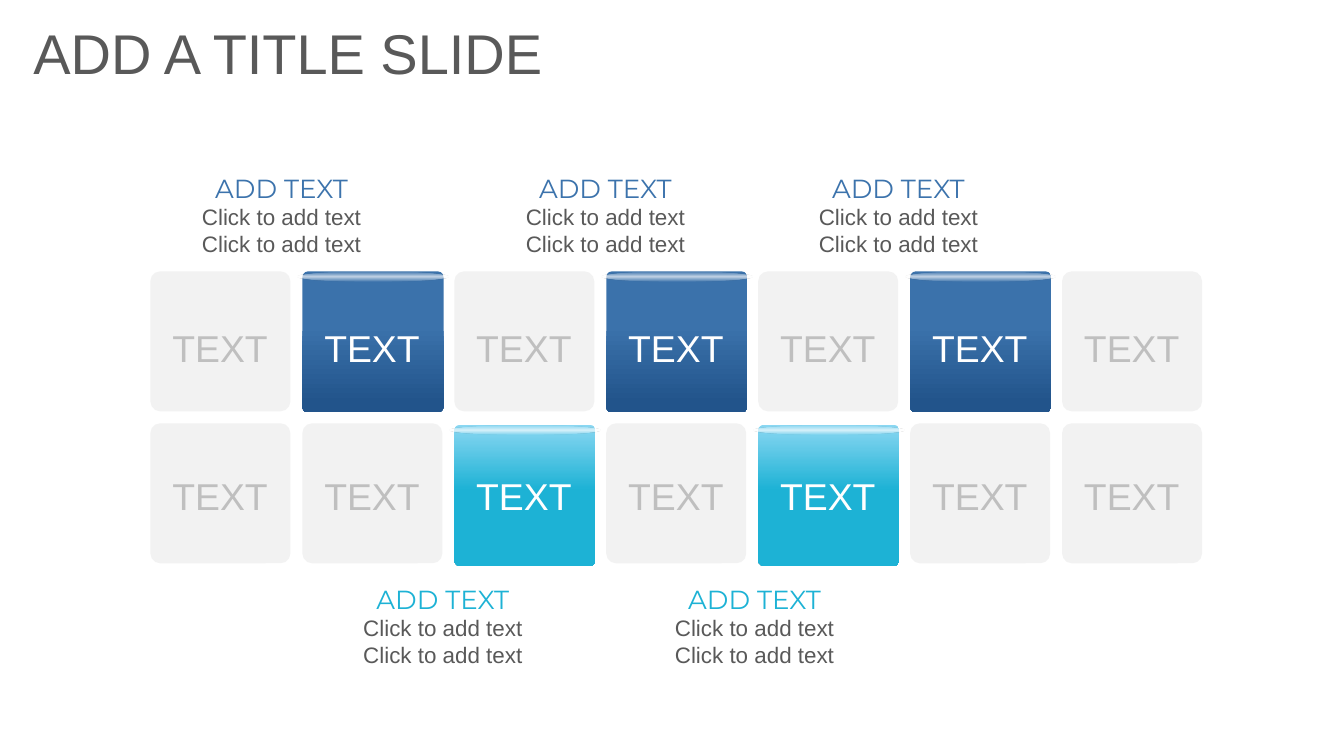
"""Build a slide with two rows of tiles, five of them glossy and captioned."""
from dataclasses import dataclass

from lxml import etree
from pptx import Presentation
from pptx.dml.color import RGBColor
from pptx.enum.shapes import MSO_SHAPE
from pptx.enum.text import MSO_ANCHOR, PP_ALIGN
from pptx.oxml.ns import qn
from pptx.shapes.autoshape import Shape
from pptx.slide import Slide
from pptx.text.text import _Paragraph
from pptx.util import Pt

ROUND_RECT, OVAL = MSO_SHAPE.ROUNDED_RECTANGLE, MSO_SHAPE.OVAL
CENTER, LEFT = PP_ALIGN.CENTER, PP_ALIGN.LEFT
MIDDLE, TOP = MSO_ANCHOR.MIDDLE, MSO_ANCHOR.TOP


@dataclass(frozen=True)
class Stop:
    position: int
    color: str
    alpha: int = 100


@dataclass(frozen=True)
class Theme:
    text: str = "595959"
    muted: str = "BFBFBF"
    white: str = "FFFFFF"
    blue: str = "3C73AC"
    cyan: str = "1DB2D5"
    blue_fill: tuple[Stop, ...] = (Stop(39, "3B72AB"), Stop(93, "22548B"))
    cyan_fill: tuple[Stop, ...] = (Stop(0, "8AD7F2"), Stop(46, "1DB2D5"))
    gloss: tuple[Stop, ...] = (Stop(0, "FFFFFF", 69), Stop(100, "FFFFFF", 0))
    body_font: str = "Arial"
    heading_font: str = "Montserrat"
    title_size: int = 30
    label_size: int = 20
    heading_size: int = 14
    body_size: int = 12


@dataclass(frozen=True)
class Box:
    left: float
    top: float
    width: float
    height: float

    def emu(self) -> tuple[int, int, int, int]:
        return Pt(self.left), Pt(self.top), Pt(self.width), Pt(self.height)


@dataclass(frozen=True)
class TileRow:
    top: float
    glossy_top: float
    label_middle: float
    glossy_columns: tuple[int, ...]
    glossy_fill: tuple[Stop, ...]
    caption_top: float
    caption_lefts: tuple[float, ...]
    caption_color: str


THEME = Theme()
COLUMNS, GRID_LEFT, PITCH = 7, 80.6, 81.4
TILE, GLOSSY_TILE = 75, 75.6
ROWS = (
    TileRow(145.4, 145.4, 186.3, (1, 3, 5), THEME.blue_fill,
            88.6, (90, 263.5, 420.5), THEME.blue),
    TileRow(226.8, 227.6, 265.5, (2, 4), THEME.cyan_fill,
            308.9, (176.4, 343.4), THEME.cyan),
)


def add_stops(s: Shape, stops: tuple[Stop, ...], radial: bool = False) -> None:
    s.fill.background()
    empty = s._element.spPr.find(qn("a:noFill"))
    grad = etree.Element(qn("a:gradFill"), rotWithShape="1")
    gs_list = etree.SubElement(grad, qn("a:gsLst"))
    for stop in stops:
        gs = etree.SubElement(gs_list, qn("a:gs"), pos=str(stop.position * 1000))
        color = etree.SubElement(gs, qn("a:srgbClr"), val=stop.color)
        if stop.alpha < 100:
            etree.SubElement(color, qn("a:alpha"), val=str(stop.alpha * 1000))
    if radial:
        path = etree.SubElement(grad, qn("a:path"), path="shape")
        etree.SubElement(path, qn("a:fillToRect"), dict.fromkeys("ltrb", "50000"))
    else:
        etree.SubElement(grad, qn("a:lin"), ang="5400000", scaled="0")
    empty.getparent().replace(empty, grad)


def add_shape(slide: Slide, kind: MSO_SHAPE, box: Box) -> Shape:
    s = slide.shapes.add_shape(kind, *box.emu())
    s.shadow.inherit = False
    s.line.fill.background()
    return s


def style(p: _Paragraph, size: int, color: str, font: str, align: PP_ALIGN) -> None:
    p.alignment = align
    for r in p.runs:
        r.font.size = Pt(size)
        r.font.name = font
        r.font.color.rgb = RGBColor.from_string(color)


def add_text(slide: Slide, box: Box, text: str, size: int, color: str,
             align: PP_ALIGN = CENTER, anchor: MSO_ANCHOR = MIDDLE,
             wrap: bool = True) -> Shape:
    s = slide.shapes.add_textbox(*box.emu())
    tf = s.text_frame
    tf.word_wrap = wrap
    tf.vertical_anchor = anchor
    tf.text = text
    for p in tf.paragraphs:
        style(p, size, color, THEME.body_font, align)
    return s


def add_label(slide: Slide, left: float, middle: float, color: str) -> None:
    add_text(slide, Box(left + 2, middle - 15, 70.6, 30), "TEXT",
             THEME.label_size, color, wrap=False)


def add_plain_tile(slide: Slide, left: float, row: TileRow) -> None:
    s = add_shape(slide, ROUND_RECT, Box(left, row.top, TILE, TILE))
    s.adjustments[0] = 0.07
    s.fill.solid()
    s.fill.fore_color.rgb = RGBColor.from_string(THEME.muted)
    color = s._element.spPr.find(qn("a:solidFill"))[0]
    etree.SubElement(color, qn("a:alpha"), val="20000")
    add_label(slide, left, row.label_middle, THEME.muted)


def add_glossy_tile(slide: Slide, left: float, row: TileRow) -> None:
    s = add_shape(slide, ROUND_RECT, Box(left, row.glossy_top, GLOSSY_TILE, GLOSSY_TILE))
    s.adjustments[0] = 0.04
    add_stops(s, row.glossy_fill)
    shine = add_shape(slide, OVAL, Box(left - 2.5, row.glossy_top + 0.3, 80.6, 5))
    add_stops(shine, THEME.gloss, radial=True)
    add_label(slide, left, row.label_middle, THEME.white)


def add_caption(slide: Slide, left: float, row: TileRow) -> None:
    s = add_text(slide, Box(left, row.caption_top, 121.7, 53.3),
                 "ADD TEXT\nClick to add text\nClick to add text",
                 THEME.body_size, THEME.text, anchor=TOP)
    style(s.text_frame.paragraphs[0], THEME.heading_size, row.caption_color,
          THEME.heading_font, CENTER)


def main() -> None:
    prs = Presentation()
    prs.slide_width, prs.slide_height = Pt(720), Pt(405)
    slide = prs.slides.add_slide(prs.slide_layouts[6])
    add_text(slide, Box(10.8, 2.2, 633, 51.8), "ADD A TITLE SLIDE",
             THEME.title_size, THEME.text, align=LEFT)
    for row in ROWS:
        for column in range(COLUMNS):
            add_tile = add_glossy_tile if column in row.glossy_columns else add_plain_tile
            add_tile(slide, GRID_LEFT + column * PITCH, row)
        for left in row.caption_lefts:
            add_caption(slide, left, row)
    prs.save("out.pptx")


if __name__ == "__main__":
    main()
